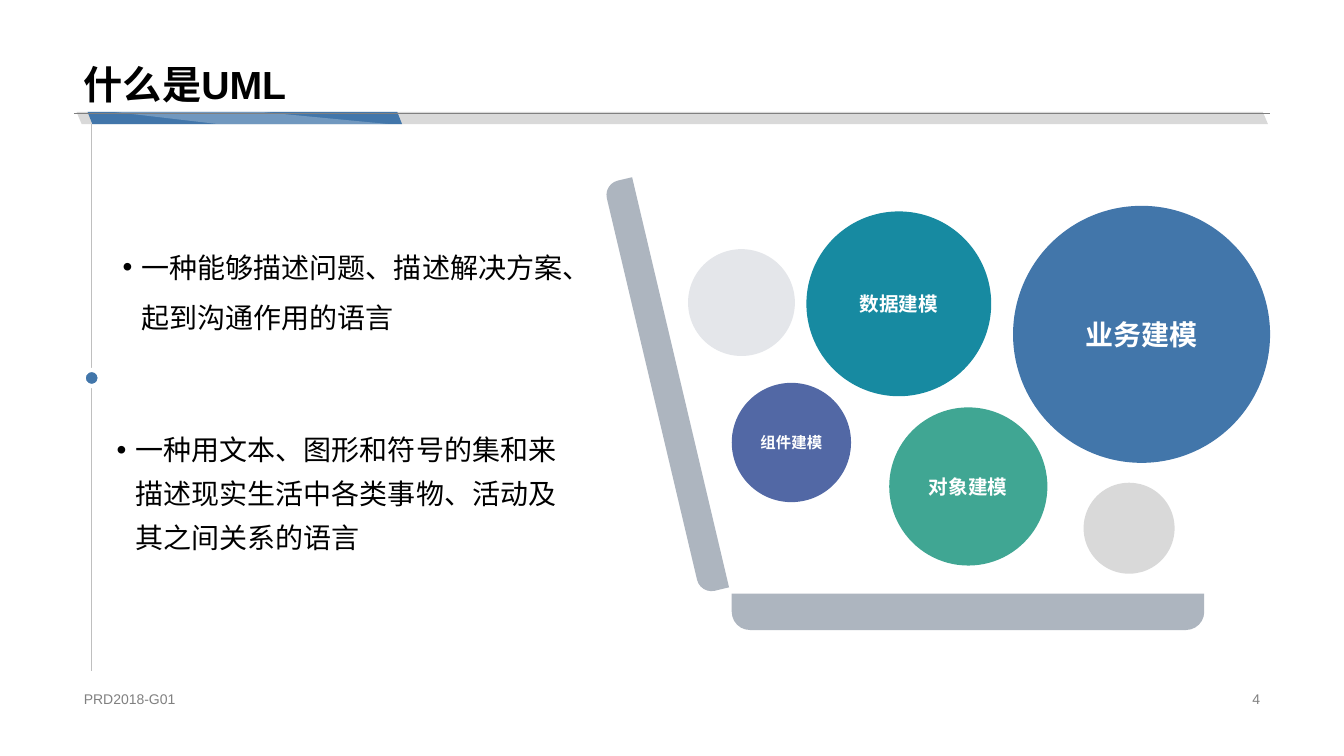
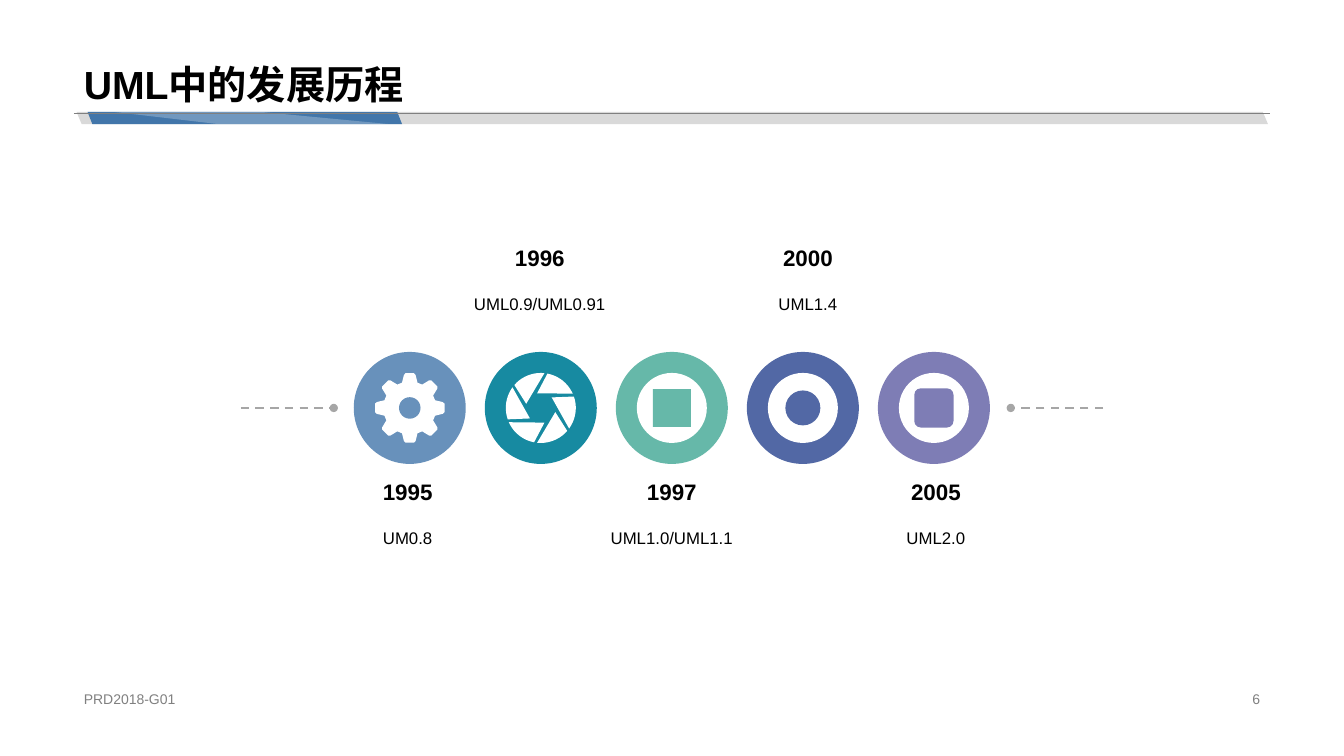
import math

import lxml.etree
import pptx
import pptx.dml.color
import pptx.enum.dml
import pptx.enum.shapes
import pptx.enum.text
import pptx.oxml.ns
import pptx.util

Pt = pptx.util.Pt
RGBColor = pptx.dml.color.RGBColor
MSO_SHAPE = pptx.enum.shapes.MSO_SHAPE
STRAIGHT = pptx.enum.shapes.MSO_CONNECTOR.STRAIGHT
ALIGN = pptx.enum.text.PP_ALIGN
ANCHOR = pptx.enum.text.MSO_ANCHOR
qn = pptx.oxml.ns.qn

FONT = "Arial"
BLACK = RGBColor(0x00, 0x00, 0x00)
WHITE = RGBColor(0xFF, 0xFF, 0xFF)
BLUE = RGBColor(0x42, 0x76, 0xAA)
TEAL = RGBColor(0x17, 0x8A, 0xA1)
GREEN = RGBColor(0x40, 0xA6, 0x93)
INDIGO = RGBColor(0x52, 0x68, 0xA5)
LIGHT_BLUE = RGBColor(0x68, 0x91, 0xBB)
LIGHT_GREEN = RGBColor(0x66, 0xB8, 0xA9)
LIGHT_PURPLE = RGBColor(0x7E, 0x7D, 0xB5)
SLATE = RGBColor(0xAD, 0xB5, 0xBF)
PALE = RGBColor(0xE4, 0xE6, 0xEA)
BAND_GRAY = RGBColor(0xD9, 0xD9, 0xD9)
RULE_GRAY = RGBColor(0xBF, 0xBF, 0xBF)
DASH_GRAY = RGBColor(0xA6, 0xA6, 0xA6)
FOOTER_GRAY = RGBColor(0x80, 0x80, 0x80)


def paint(shape, fill):
    """Give a shape a flat fill, without line or shadow."""
    shape.shadow.inherit = False
    shape.fill.solid()
    shape.fill.fore_color.rgb = fill
    shape.line.fill.background()
    return shape


def write(shape, text, size, color=BLACK, bold=False, align=ALIGN.LEFT,
          anchor=ANCHOR.MIDDLE, spacing=1.0, wrap=True):
    tf = shape.text_frame
    tf.word_wrap = wrap
    tf.vertical_anchor = anchor
    p = tf.paragraphs[0]
    p.alignment = align
    p.line_spacing = spacing
    r = p.add_run()
    r.text = text
    r.font.name = FONT
    r.font.size = Pt(size)
    r.font.bold = bold
    r.font.color.rgb = color
    return p


prs = pptx.Presentation()
prs.slide_width, prs.slide_height = Pt(960), Pt(540)

# Title, band and footer of every slide
for title, number in (("什么是UML", "4"), ("UML中的发展历程", "6")):
    s = prs.slides.add_slide(prs.slide_layouts[6])
    for left, width, slant, fill in ((54.7, 851, 0.42, BAND_GRAY),
                                     (62.6, 224.6, 0.39, BLUE)):
        band = paint(s.shapes.add_shape(MSO_SHAPE.PARALLELOGRAM, Pt(left), Pt(80),
                                        Pt(width), Pt(8.6)), fill)
        band.adjustments[0] = slant
        band._element.spPr.xfrm.set("flipH", "1")
    builder = s.shapes.build_freeform(Pt(277.2), Pt(88.6))
    builder.add_line_segments([(Pt(x), Pt(y)) for x, y in
                               ((187.2, 80), (82, 80), (155.5, 88.6))])
    gloss = paint(builder.convert_to_shape(), WHITE)
    color = gloss._element.spPr.find(".//" + qn("a:srgbClr"))
    lxml.etree.SubElement(color, qn("a:alpha"), val="25000")
    rule = s.shapes.add_connector(STRAIGHT, Pt(52.8), Pt(80.9), Pt(907.2), Pt(80.9))
    rule.line.color.rgb = FOOTER_GRAY
    rule.line.width = Pt(0.25)
    write(s.shapes.add_textbox(Pt(52.8), Pt(0), Pt(854.4), Pt(80.9)), title, 28,
          bold=True, anchor=ANCHOR.BOTTOM, spacing=0.9)
    for left, width, text, align in ((52.8, 326, "PRD2018-G01", ALIGN.LEFT),
                                     (678.2, 229, number, ALIGN.RIGHT)):
        write(s.shapes.add_textbox(Pt(left), Pt(491), Pt(width), Pt(16.5)),
              text, 10, FOOTER_GRAY, align=align)

# What UML is: tray with circles
s = prs.slides[0]
for box, rotation in (((522.7, 424, 337.5, 26), 0), ((325.4, 265, 301, 21), 76.7)):
    tray = paint(s.shapes.add_shape(MSO_SHAPE.ROUND_2_SAME_RECTANGLE,
                                    *map(Pt, box)), SLATE)
    tray.adjustments[0] = 0
    tray.adjustments[1] = 0.5
    tray.rotation = rotation

for left, top, diameter, fill, text, size in (
        (522.7, 273.5, 85.2, INDIGO, "组件建模", 11),
        (635.2, 291, 113, GREEN, "对象建模", 14),
        (576, 151, 132, TEAL, "数据建模", 14),
        (723.6, 147, 183.6, BLUE, "业务建模", 20),
        (774, 344.8, 65, BAND_GRAY, "", 0),
        (491.5, 178, 76.3, PALE, "", 0)):
    circle = paint(s.shapes.add_shape(MSO_SHAPE.OVAL, Pt(left), Pt(top),
                                      Pt(diameter), Pt(diameter)), fill)
    if text:
        write(circle, text, size, WHITE, True, ALIGN.CENTER, wrap=False)

rule = s.shapes.add_connector(STRAIGHT, Pt(65.5), Pt(88.6), Pt(65.5), Pt(479))
rule.line.color.rgb = RULE_GRAY
rule.line.width = Pt(0.25)
dot = paint(s.shapes.add_shape(MSO_SHAPE.OVAL, Pt(59.7), Pt(264.2), Pt(11.6), Pt(11.6)),
            BLUE)
dot.line.color.rgb = WHITE
dot.line.width = Pt(3)

for left, top, spacing, text in (
        (76.3, 296.6, 1.3, "一种用文本、图形和符号的集和来描述现实生活中各类事物、活动及其之间关系的语言"),
        (80.6, 150.5, 1.5, "一种能够描述问题、描述解决方案、起到沟通作用的语言")):
    p = write(s.shapes.add_textbox(Pt(left), Pt(top), Pt(336.2), Pt(104.4)),
              text, 20, spacing=spacing)
    pPr = p._p.get_or_add_pPr()
    pPr.set("marL", str(Pt(13.5)))
    pPr.set("indent", str(-Pt(13.5)))
    lxml.etree.SubElement(pPr, qn("a:buFont"), typeface=FONT)
    lxml.etree.SubElement(pPr, qn("a:buChar"), char="•")

# History of UML: rings with icons and labels
s = prs.slides[1]
MIDDLE = 291.4
for start, end in ((172, 238.4), (788, 722)):
    dash = s.shapes.add_connector(STRAIGHT, Pt(start), Pt(MIDDLE), Pt(end), Pt(MIDDLE))
    dash.line.color.rgb = DASH_GRAY
    dash.line.width = Pt(1.5)
    dash.line.dash_style = pptx.enum.dml.MSO_LINE.DASH
    lxml.etree.SubElement(dash.line._ln, qn("a:tailEnd"), type="oval")

# Icon outlines are polar: (radius, degrees)
gear = [[(radius, 45 * tooth + angle) for tooth in range(8) for radius, angle in
         ((18.9, -17), (24, -10), (25, -7), (25, 7), (24, 10), (18.9, 17))]]
shutter = [[(10.8, 60 * blade - 164)] +
           [(25, 60 * blade - 84 - 5.5 * step) for step in range(11)]
           for blade in range(6)]

RING, PITCH, DISC = 80, 93.6, 50
for i, (fill, outlines, inner, size, center, year, version) in enumerate((
        (LIGHT_BLUE, gear, MSO_SHAPE.OVAL, 15.4, 291.2, "1995", "UM0.8"),
        (TEAL, shutter, None, 0, 385.6, "1996", "UML0.9/UML0.91"),
        (LIGHT_GREEN, None, MSO_SHAPE.RECTANGLE, 27, 479.9, "1997", "UML1.0/UML1.1"),
        (INDIGO, None, MSO_SHAPE.OVAL, 25, 577.1, "2000", "UML1.4"),
        (LIGHT_PURPLE, None, MSO_SHAPE.ROUNDED_RECTANGLE, 28, 668.5, "2005", "UML2.0"))):
    x = 292.7 + PITCH * i
    discs = [(MSO_SHAPE.OVAL, RING, fill)]
    if outlines is None:
        discs.append((MSO_SHAPE.OVAL, DISC, WHITE))
    for kind, side, color in discs:
        paint(s.shapes.add_shape(kind, Pt(x - side / 2), Pt(MIDDLE - side / 2),
                                 Pt(side), Pt(side)), color)
    for outline in outlines or []:
        points = [(Pt(x + radius * math.cos(math.radians(angle))),
                   Pt(MIDDLE + radius * math.sin(math.radians(angle))))
                  for radius, angle in outline]
        builder = s.shapes.build_freeform(*points[0])
        builder.add_line_segments(points[1:])
        paint(builder.convert_to_shape(), WHITE)
    if inner is not None:
        paint(s.shapes.add_shape(inner, Pt(x - size / 2), Pt(MIDDLE - size / 2),
                                 Pt(size), Pt(size)), fill)

    top = 170.6 if i % 2 else 337.7
    for offset, height, text, points, bold, spacing in (
            (0, 33, year, 16, True, 1.0), (33.1, 41.8, version, 12, False, 1.2)):
        write(s.shapes.add_textbox(Pt(center - 90.4), Pt(top + offset), Pt(180.8),
                                   Pt(height)),
              text, points, bold=bold, align=ALIGN.CENTER, anchor=ANCHOR.TOP,
              spacing=spacing)

# Connectors carry no shadow
for s in prs.slides:
    for line in s.shapes._spTree.iter(qn("p:cxnSp")):
        lxml.etree.SubElement(line.spPr, qn("a:effectLst"))

prs.save("out.pptx")
